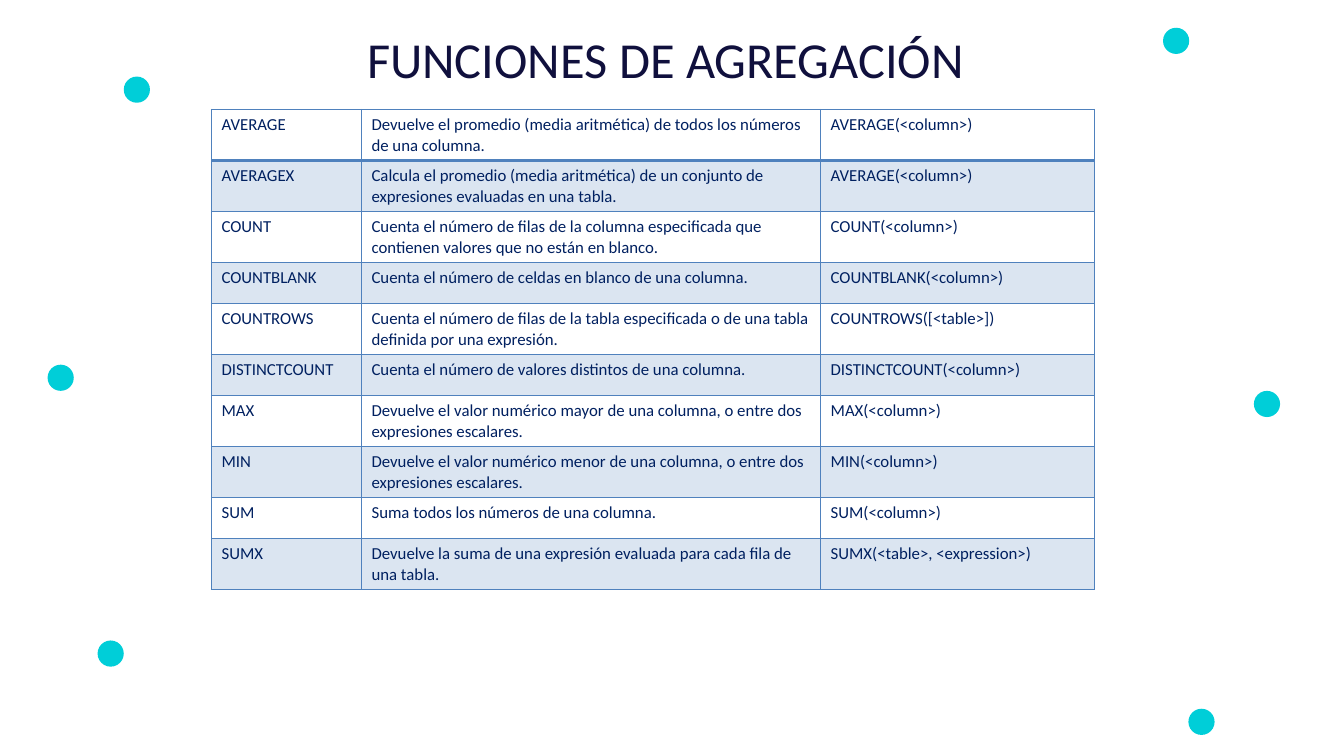
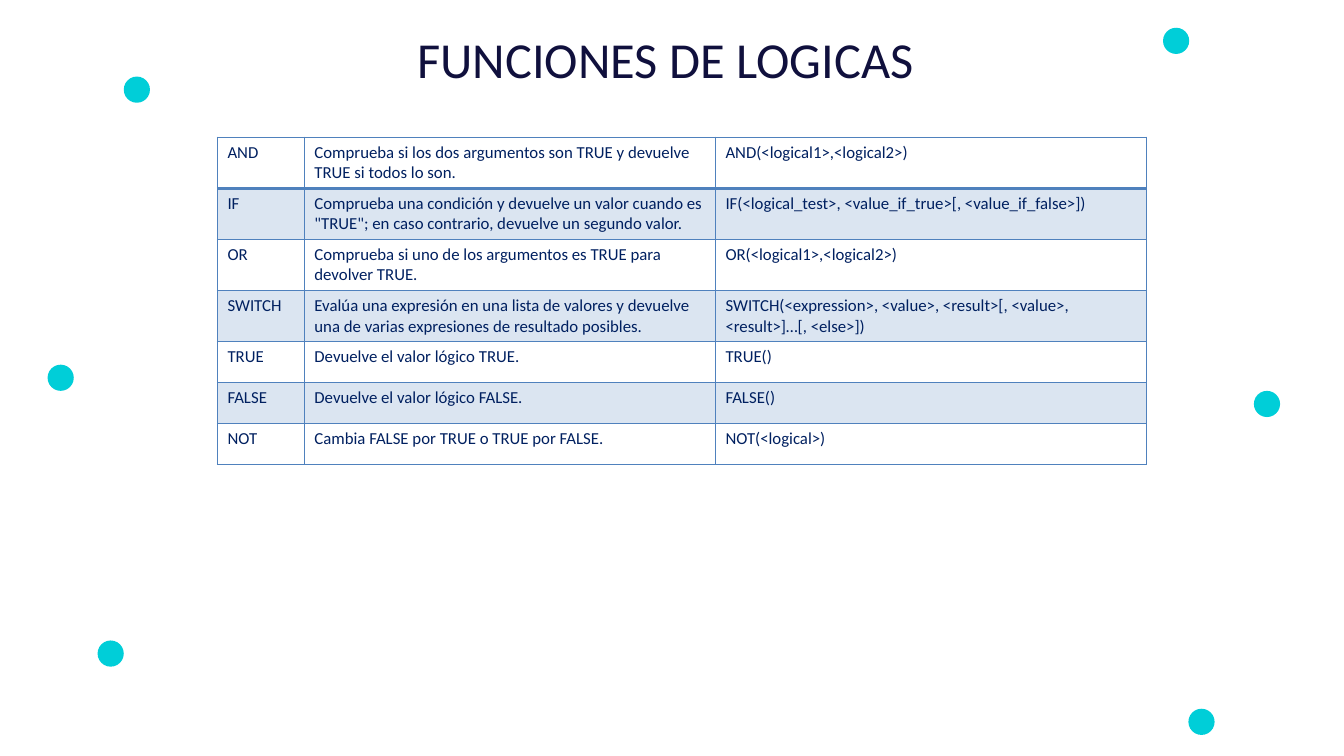
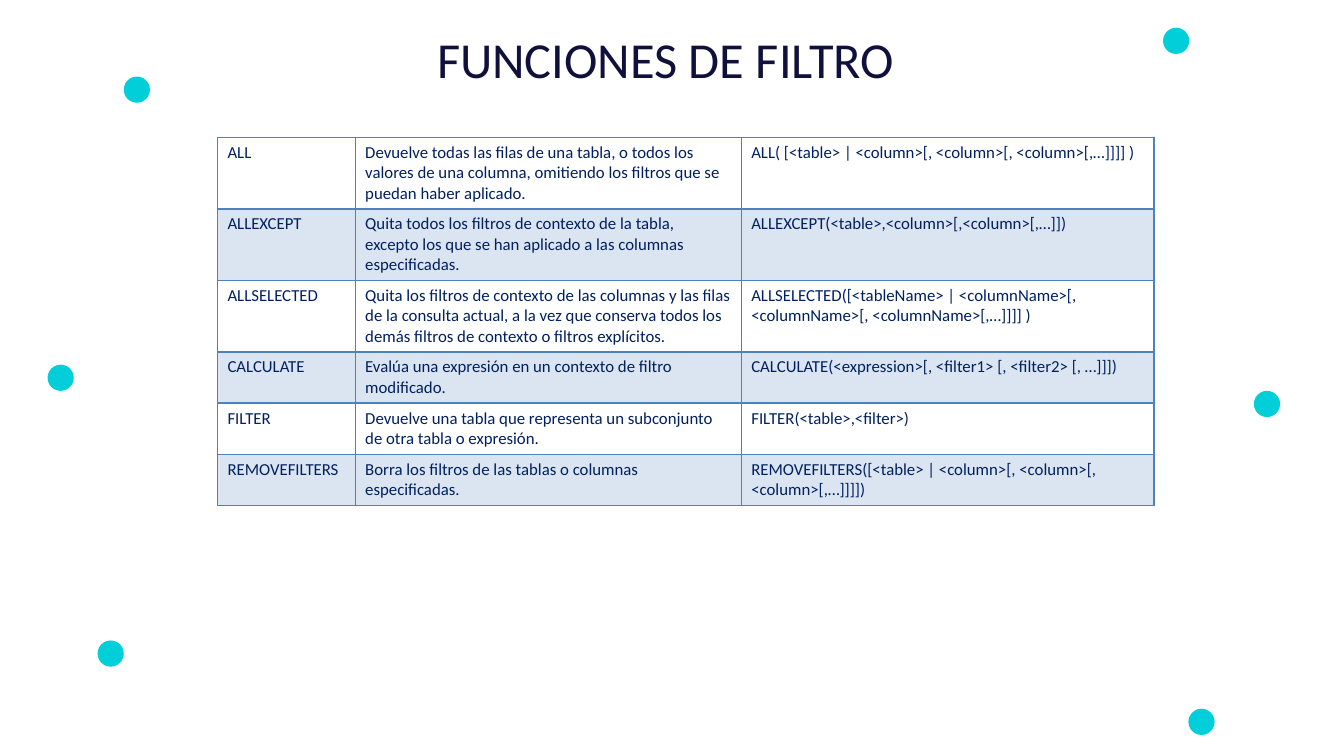
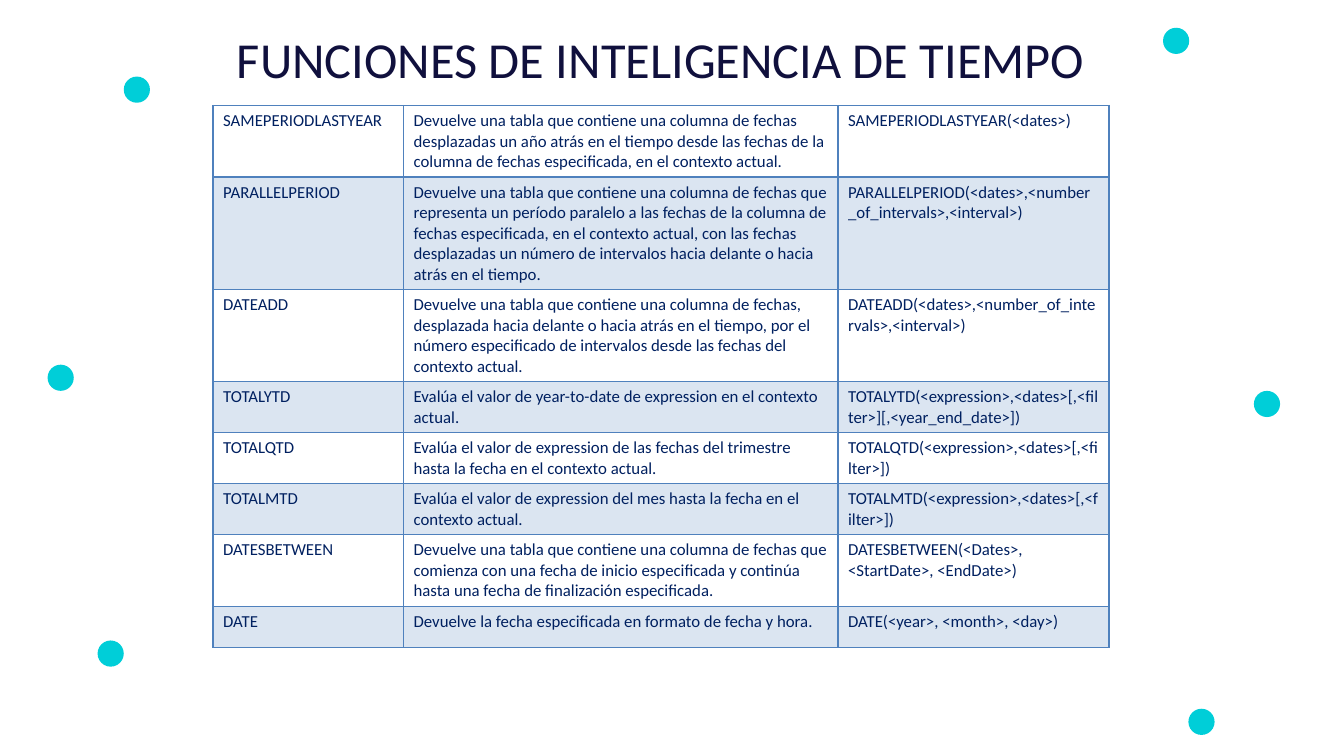
from lxml.etree import SubElement
from pptx import Presentation
from pptx.dml.color import RGBColor
from pptx.enum.shapes import MSO_SHAPE as Preset
from pptx.enum.text import MSO_ANCHOR as Anchor, MSO_AUTO_SIZE as AutoSize, PP_ALIGN as Align
from pptx.oxml import parse_xml
from pptx.oxml.ns import nsdecls, qn
from pptx.util import Cm, Pt

COLORS = {"dot": "00CED8", "title": "10103D", "text": "002060", "table": "4F81BD"}
FONT = "Calibri"
DOT_SIZE = 0.66
DOTS = [(3.12, 1.93), (1.2, 9.19), (2.46, 16.14), (29.31, 0.7), (31.6, 9.85), (29.95, 17.86)]
TITLE_TOP, TITLE_HEIGHT = 0.76, 2.57
TITLE_NORMAL = (8.57, 16.41)
TITLE_WIDE = (5.48, 22.35)
ROW_HEIGHT = 1.03
BAND_ALPHA = 20000

SLIDES = [
    {
        "title": "FUNCIONES DE AGREGACIÓN",
        "title_span": TITLE_NORMAL,
        "table_at": (5.33, 2.76),
        "columns": (3.78, 11.57, 6.9),
        "rows": [
            ("AVERAGE", "Devuelve el promedio (media aritmética) de todos los números de una columna.",
             "AVERAGE(<column>)"),
            ("AVERAGEX", "Calcula el promedio (media aritmética) de un conjunto de expresiones evaluadas en una tabla.",
             "AVERAGE(<column>)"),
            ("COUNT", "Cuenta el número de filas de la columna especificada que contienen valores que no están en blanco.",
             "COUNT(<column>)"),
            ("COUNTBLANK", "Cuenta el número de celdas en blanco de una columna.",
             "COUNTBLANK(<column>)"),
            ("COUNTROWS", "Cuenta el número de filas de la tabla especificada o de una tabla definida por una expresión.",
             "COUNTROWS([<table>])"),
            ("DISTINCTCOUNT", "Cuenta el número de valores distintos de una columna.",
             "DISTINCTCOUNT(<column>)"),
            ("MAX", "Devuelve el valor numérico mayor de una columna, o entre dos expresiones escalares.",
             "MAX(<column>)"),
            ("MIN", "Devuelve el valor numérico menor de una columna, o entre dos expresiones escalares.",
             "MIN(<column>)"),
            ("SUM", "Suma todos los números de una columna.",
             "SUM(<column>)"),
            ("SUMX", "Devuelve la suma de una expresión evaluada para cada fila de una tabla.",
             "SUMX(<table>, <expression>)"),
        ],
    },
    {
        "title": "FUNCIONES DE LOGICAS",
        "title_span": TITLE_NORMAL,
        "table_at": (5.48, 3.46),
        "columns": (2.19, 10.36, 10.87),
        "rows": [
            ("AND", "Comprueba si los dos argumentos son TRUE y devuelve TRUE si todos lo son.",
             "AND(<logical1>,<logical2>)"),
            ("IF", "Comprueba una condición y devuelve un valor cuando es \"TRUE\"; en caso contrario, devuelve un segundo valor.",
             "IF(<logical_test>, <value_if_true>[, <value_if_false>])"),
            ("OR", "Comprueba si uno de los argumentos es TRUE para devolver TRUE.",
             "OR(<logical1>,<logical2>)"),
            ("SWITCH", "Evalúa una expresión en una lista de valores y devuelve una de varias expresiones de resultado posibles.",
             "SWITCH(<expression>, <value>, <result>[, <value>, <result>]…[, <else>])"),
            ("TRUE", "Devuelve el valor lógico TRUE.", "TRUE()"),
            ("FALSE", "Devuelve el valor lógico FALSE.", "FALSE()"),
            ("NOT", "Cambia FALSE por TRUE o TRUE por FALSE.", "NOT(<logical>)"),
        ],
    },
    {
        "title": "FUNCIONES DE FILTRO",
        "title_span": TITLE_NORMAL,
        "table_at": (5.48, 3.46),
        "columns": (3.47, 9.73, 10.4),
        "rows": [
            ("ALL", "Devuelve todas las filas de una tabla, o todos los valores de una columna, "
             "omitiendo los filtros que se puedan haber aplicado.",
             "ALL( [<table> | <column>[, <column>[, <column>[,…]]]] )"),
            ("ALLEXCEPT", "Quita todos los filtros de contexto de la tabla, excepto los que se han "
             "aplicado a las columnas especificadas.",
             "ALLEXCEPT(<table>,<column>[,<column>[,…]])"),
            ("ALLSELECTED", "Quita los filtros de contexto de las columnas y las filas de la consulta actual, "
             "a la vez que conserva todos los demás filtros de contexto o filtros explícitos.",
             "ALLSELECTED([<tableName> | <columnName>[, <columnName>[, <columnName>[,…]]]] )"),
            ("CALCULATE", "Evalúa una expresión en un contexto de filtro modificado.",
             "CALCULATE(<expression>[, <filter1> [, <filter2> [, …]]])"),
            ("FILTER", "Devuelve una tabla que representa un subconjunto de otra tabla o expresión.",
             "FILTER(<table>,<filter>)"),
            ("REMOVEFILTERS", "Borra los filtros de las tablas o columnas especificadas.",
             "REMOVEFILTERS([<table> | <column>[, <column>[, <column>[,…]]]])"),
        ],
    },
    {
        "title": "FUNCIONES DE INTELIGENCIA DE TIEMPO",
        "title_span": TITLE_WIDE,
        "table_at": (5.37, 2.66),
        "columns": (4.8, 10.95, 6.83),
        "rows": [
            ("SAMEPERIODLASTYEAR", "Devuelve una tabla que contiene una columna de fechas desplazadas un año atrás "
             "en el tiempo desde las fechas de la columna de fechas especificada, en el contexto actual.",
             "SAMEPERIODLASTYEAR(<dates>)"),
            ("PARALLELPERIOD", "Devuelve una tabla que contiene una columna de fechas que representa un período "
             "paralelo a las fechas de la columna de fechas especificada, en el contexto actual, con las fechas "
             "desplazadas un número de intervalos hacia delante o hacia atrás en el tiempo.",
             "PARALLELPERIOD(<dates>,<number_of_intervals>,<interval>)"),
            ("DATEADD", "Devuelve una tabla que contiene una columna de fechas, desplazada hacia delante o hacia "
             "atrás en el tiempo, por el número especificado de intervalos desde las fechas del contexto actual.",
             "DATEADD(<dates>,<number_of_intervals>,<interval>)"),
            ("TOTALYTD", "Evalúa el valor de year-to-date de expression en el contexto actual.",
             "TOTALYTD(<expression>,<dates>[,<filter>][,<year_end_date>])"),
            ("TOTALQTD", "Evalúa el valor de expression de las fechas del trimestre hasta la fecha en el contexto actual.",
             "TOTALQTD(<expression>,<dates>[,<filter>])"),
            ("TOTALMTD", "Evalúa el valor de expression del mes hasta la fecha en el contexto actual.",
             "TOTALMTD(<expression>,<dates>[,<filter>])"),
            ("DATESBETWEEN", "Devuelve una tabla que contiene una columna de fechas que comienza con una fecha de "
             "inicio especificada y continúa hasta una fecha de finalización especificada.",
             "DATESBETWEEN(<Dates>, <StartDate>, <EndDate>)"),
            ("DATE", "Devuelve la fecha especificada en formato de fecha y hora.",
             "DATE(<year>, <month>, <day>)"),
        ],
    },
]


def rgb(name):
    return RGBColor.from_string(COLORS[name])


def write_text(frame, text, size, color, align=None, line_spacing=None):
    paragraph = frame.paragraphs[0]
    paragraph.alignment = align
    paragraph.line_spacing = line_spacing
    run = paragraph.add_run()
    run.text = text
    run.font.name = FONT
    run.font.size = Pt(size)
    run.font.bold = False
    run.font.color.rgb = rgb(color)


def add_dots(slide, layout):
    for left, top in DOTS:
        dot = slide.shapes.add_shape(Preset.OVAL, Cm(left), Cm(top), Cm(DOT_SIZE), Cm(DOT_SIZE))
        dot.shadow.inherit = False
        dot.fill.solid()
        dot.fill.fore_color.rgb = rgb("dot")
        dot.line.fill.background()
        layout.shapes.element.append(dot.element)


def set_title(slide, text, span):
    title = slide.shapes.title
    left, width = span
    title.left, title.top, title.width, title.height = Cm(left), Cm(TITLE_TOP), Cm(width), Cm(TITLE_HEIGHT)
    frame = title.text_frame
    frame.word_wrap = True
    frame.auto_size = AutoSize.NONE
    frame.vertical_anchor = Anchor.TOP
    write_text(frame, text, size=36, color="title", align=Align.CENTER, line_spacing=0.9)


def set_borders(cell, **widths):
    properties = cell._tc.get_or_add_tcPr()
    for index, side in enumerate("LRTB"):
        width = Pt(widths.get(side, 1))
        properties.insert(index, parse_xml(
            f'<a:ln{side} {nsdecls("a")} w="{width}"><a:solidFill>'
            f'<a:srgbClr val="{COLORS["table"]}"/></a:solidFill></a:ln{side}>'))


def fill_band(cell):
    cell.fill.solid()
    cell.fill.fore_color.rgb = rgb("table")
    color = cell._tc.tcPr.find(qn("a:solidFill")).find(qn("a:srgbClr"))
    SubElement(color, qn("a:alpha")).set("val", str(BAND_ALPHA))


def add_function_table(slide, position, columns, rows):
    left, top = position
    table = slide.shapes.add_table(len(rows), len(columns), Cm(left), Cm(top),
                                   Cm(sum(columns)), Cm(ROW_HEIGHT * len(rows))).table
    table.first_row = False
    table.horz_banding = False
    for column, width in zip(table.columns, columns):
        column.width = Cm(width)
    for row_index, texts in enumerate(rows):
        table.rows[row_index].height = Cm(ROW_HEIGHT)
        for column_index, text in enumerate(texts):
            cell = table.cell(row_index, column_index)
            write_text(cell.text_frame, text, size=12, color="text")
            if row_index % 2:
                fill_band(cell)
            else:
                cell.fill.background()
            set_borders(cell, T=2 if row_index == 1 else 1, B=2 if row_index == 0 else 1)


presentation = Presentation()
presentation.slide_width, presentation.slide_height = Cm(33.87), Cm(19.05)
title_only = presentation.slide_layouts[5]
for number, content in enumerate(SLIDES):
    slide = presentation.slides.add_slide(title_only)
    if number == 0:
        add_dots(slide, title_only)
    set_title(slide, content["title"], content["title_span"])
    add_function_table(slide, content["table_at"], content["columns"], content["rows"])
presentation.save("out.pptx")
